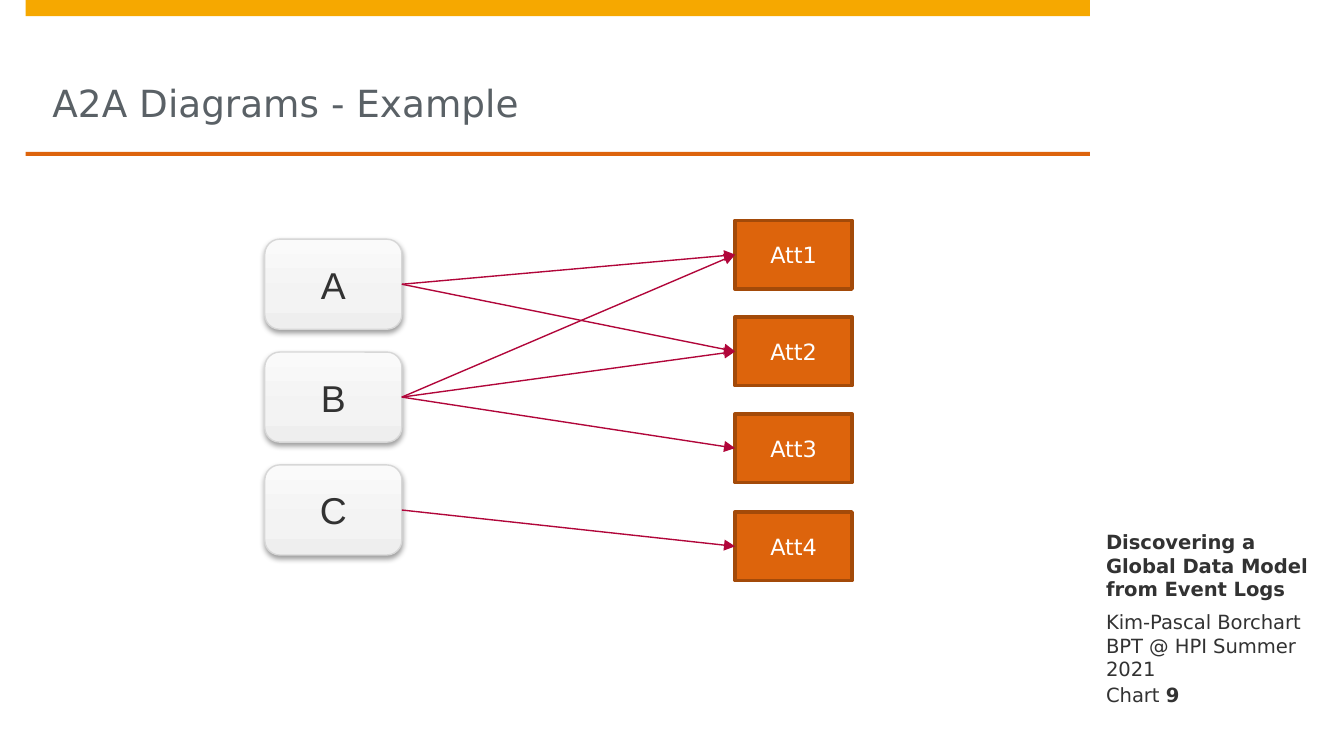
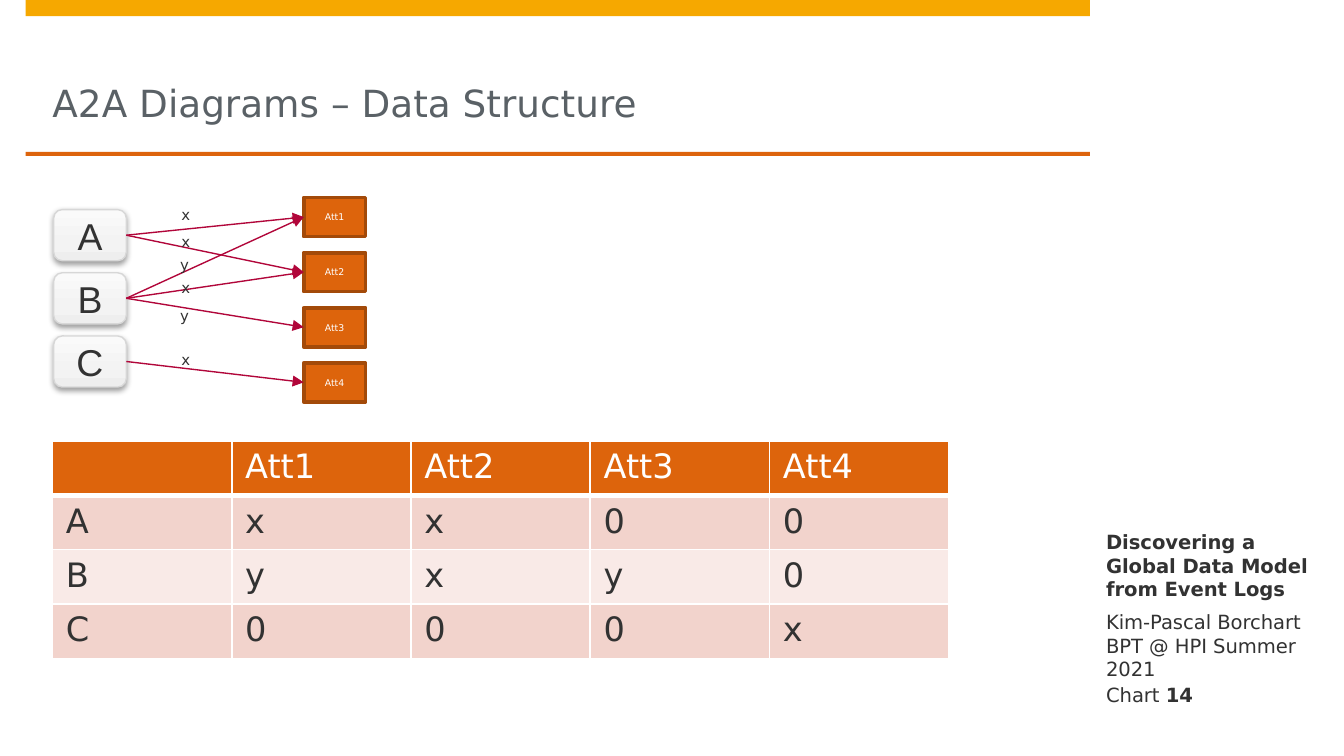
from lxml.etree import SubElement
from pptx import Presentation
from pptx.enum.shapes import MSO_CONNECTOR, MSO_SHAPE
from pptx.enum.text import MSO_ANCHOR as ANCHOR, PP_ALIGN as ALIGN
from pptx.dml.color import RGBColor
from pptx.oxml import parse_xml
from pptx.oxml.ns import nsdecls, qn
from pptx.util import Pt

PX = 9144  # 100 px to the inch
rgb = RGBColor.from_string

SANS, ARIAL = "DejaVu Sans", "Arial"
YELLOW, ORANGE, DARK_ORANGE, CRIMSON = "F6A800", "DD640C", "A34A09", "B1063A"
INK, GREY, SILVER, WHITE = "323232", "5A6166", "D7D7D7", "FFFFFF"
BANDS = ["F2D3CC", "F9EAE7"]

# Which activity touches which attribute, and how
ATTRIBUTES = ["Att1", "Att2", "Att3", "Att4"]
ACCESS = {"A": "xx00", "B": "yxy0", "C": "000x"}

GRADIENT = f"""<a:gradFill {nsdecls("a")} rotWithShape="1"><a:gsLst>
<a:gs pos="0"><a:srgbClr val="EEEEEE"/></a:gs>
<a:gs pos="35000"><a:srgbClr val="F3F3F3"/></a:gs>
<a:gs pos="100000"><a:srgbClr val="FAFAFA"/></a:gs>
</a:gsLst><a:lin ang="16200000" scaled="0"/></a:gradFill>"""
SOFT_SHADOW = f"""<a:outerShdw {nsdecls("a")} blurRad="40000" dist="20000" dir="5400000"
rotWithShape="0"><a:srgbClr val="000000"><a:alpha val="38000"/></a:srgbClr></a:outerShdw>"""

# Per slide: title, chart number, activity and attribute columns
# (left, first top, last top, width, height), attribute text size, label tops
SLIDES = [
    ("A2A Diagrams - Example", "9",
     (197, 178, 346, 102, 67), (547, 164, 381, 87, 51), 12, []),
    ("A2A Diagrams – Data Structure", "14",
     (40, 156, 250, 54, 38), (226, 147, 270, 46, 29), 5, [153, 173, 190, 207, 228, 261]),
]


def write(shape, text, size, color, insets, font=SANS, bold=None,
          anchor=ANCHOR.TOP, align=ALIGN.LEFT, wrap=True):
    frame = shape.text_frame
    frame.word_wrap = wrap
    frame.vertical_anchor = anchor
    (frame.margin_left, frame.margin_top,
     frame.margin_right, frame.margin_bottom) = [inset * PX for inset in insets]
    paragraph = frame.paragraphs[0]
    paragraph.alignment = align
    paragraph.font.size, paragraph.font.name = Pt(size), font
    paragraph.font.bold = bold
    paragraph.font.color.rgb = rgb(color)
    paragraph.add_run().text = text
    return paragraph


def add_block(shapes, kind, box, fill=None, line=None, width=0):
    block = shapes.add_shape(kind, *[length * PX for length in box])
    block.shadow.inherit = False
    if fill:
        block.fill.solid()
        block.fill.fore_color.rgb = rgb(fill)
    if line:
        block.line.color.rgb = rgb(line)
        block.line.width = Pt(width)
    else:
        block.line.fill.background()
    return block


# Widescreen, 16 to 9
deck = Presentation()
deck.slide_width = 1000 * PX
deck.slide_height = deck.slide_width * 9 // 16

for title, number, activity_column, attribute_column, attribute_size, label_tops in SLIDES:
    slide = deck.slides.add_slide(deck.slide_layouts[6])

    # Bands and title
    add_block(slide.shapes, MSO_SHAPE.RECTANGLE, (19, 0, 792, 12), YELLOW)
    add_block(slide.shapes, MSO_SHAPE.RECTANGLE, (19, 113, 792, 3), ORANGE)
    heading = slide.shapes.add_textbox(39 * PX, 12 * PX, 752 * PX, 101 * PX)
    write(heading, title, 20, GREY, (0, 0, 0, 20), anchor=ANCHOR.BOTTOM)

    # Side notes
    for text, top, height, bold, anchor in [
        ("Kim-Pascal Borchart BPT @ HPI Summer 2021", 454, 51, None, ANCHOR.TOP),
        ("Discovering a Global Data Model from Event Logs", 390, 57, True, ANCHOR.BOTTOM),
        ("Chart ", 506, 20, None, ANCHOR.BOTTOM),
    ]:
        note = slide.shapes.add_textbox(811 * PX, top * PX, 169 * PX, height * PX)
        line = write(note, text, 10.5, INK, (12, 0, 0, 0), bold=bold, anchor=anchor)
    chart_number = line.add_run()
    chart_number.text = number
    chart_number.font.bold = True

    # Activities
    diagram = slide.shapes.add_group_shape().shapes
    left, first, last, width, height = activity_column
    activities = []
    for i, name in enumerate(ACCESS):
        top = first + (last - first) * i // (len(ACCESS) - 1)
        activity = add_block(diagram, MSO_SHAPE.ROUNDED_RECTANGLE,
                             (left, top, width, height), None, SILVER, 0.75)
        properties = activity._element.spPr
        properties.insert(2, parse_xml(GRADIENT))
        properties.find(qn("a:effectLst")).append(parse_xml(SOFT_SHADOW))
        write(activity, name, 20, INK, (12, 8, 12, 8), font=ARIAL,
              anchor=ANCHOR.MIDDLE, align=ALIGN.CENTER)
        activities.append(activity)

    # Attributes
    left, first, last, width, height = attribute_column
    attributes = []
    for i, name in enumerate(ATTRIBUTES):
        top = first + (last - first) * i // (len(ATTRIBUTES) - 1)
        attribute = add_block(diagram, MSO_SHAPE.RECTANGLE,
                              (left, top, width, height), ORANGE, DARK_ORANGE, 2)
        write(attribute, name, attribute_size, WHITE, (12, 8, 12, 8),
              anchor=ANCHOR.MIDDLE, align=ALIGN.CENTER)
        attributes.append(attribute)

    # Arrows from the right side of an activity to the left side of an attribute
    marks = []
    for activity, accesses in zip(activities, ACCESS.values()):
        for attribute, mark in zip(attributes, accesses):
            if mark == "0":
                continue
            marks.append(mark)
            arrow = diagram.add_connector(MSO_CONNECTOR.STRAIGHT, 0, 0, 0, 0)
            arrow.begin_connect(activity, 3)
            arrow.end_connect(attribute, 1)
            arrow.line.color.rgb = rgb(CRIMSON)
            arrow.line.width = Pt(0.75)
            properties = arrow._element.spPr
            SubElement(properties.find(qn("a:ln")), qn("a:tailEnd"), type="triangle")
            SubElement(properties, qn("a:effectLst"))

    # Arrow labels
    for mark, top in zip(marks, label_tops):
        left = 135 if mark == "x" else 134
        label = diagram.add_textbox(left * PX, top * PX, 21 * PX, 26 * PX)
        write(label, mark, 8, INK, (0, 0, 0, 0), wrap=False)

# Access matrix on the last slide
matrix = [["", *ATTRIBUTES]] + [[name, *accesses] for name, accesses in ACCESS.items()]
table = slide.shapes.add_table(len(matrix), len(matrix[0]),
                               39 * PX, 328 * PX, 667 * PX, 162 * PX).table
for r, row in enumerate(matrix):
    for c, value in enumerate(row):
        cell = table.cell(r, c)
        for side in "LRTB":
            thick = (r, side) in [(0, "B"), (1, "T")]
            border = SubElement(cell._tc.get_or_add_tcPr(), qn(f"a:ln{side}"),
                                w=str(Pt(3 if thick else 1)))
            SubElement(SubElement(border, qn("a:solidFill")), qn("a:srgbClr"), val=WHITE)
        cell.fill.solid()
        cell.fill.fore_color.rgb = rgb(BANDS[(r - 1) % 2] if r else ORANGE)
        cell.text = value
        font = cell.text_frame.paragraphs[0].font
        font.size, font.name, font.bold = Pt(18), SANS, False
        font.color.rgb = rgb(INK if r else WHITE)

deck.save("out.pptx")
